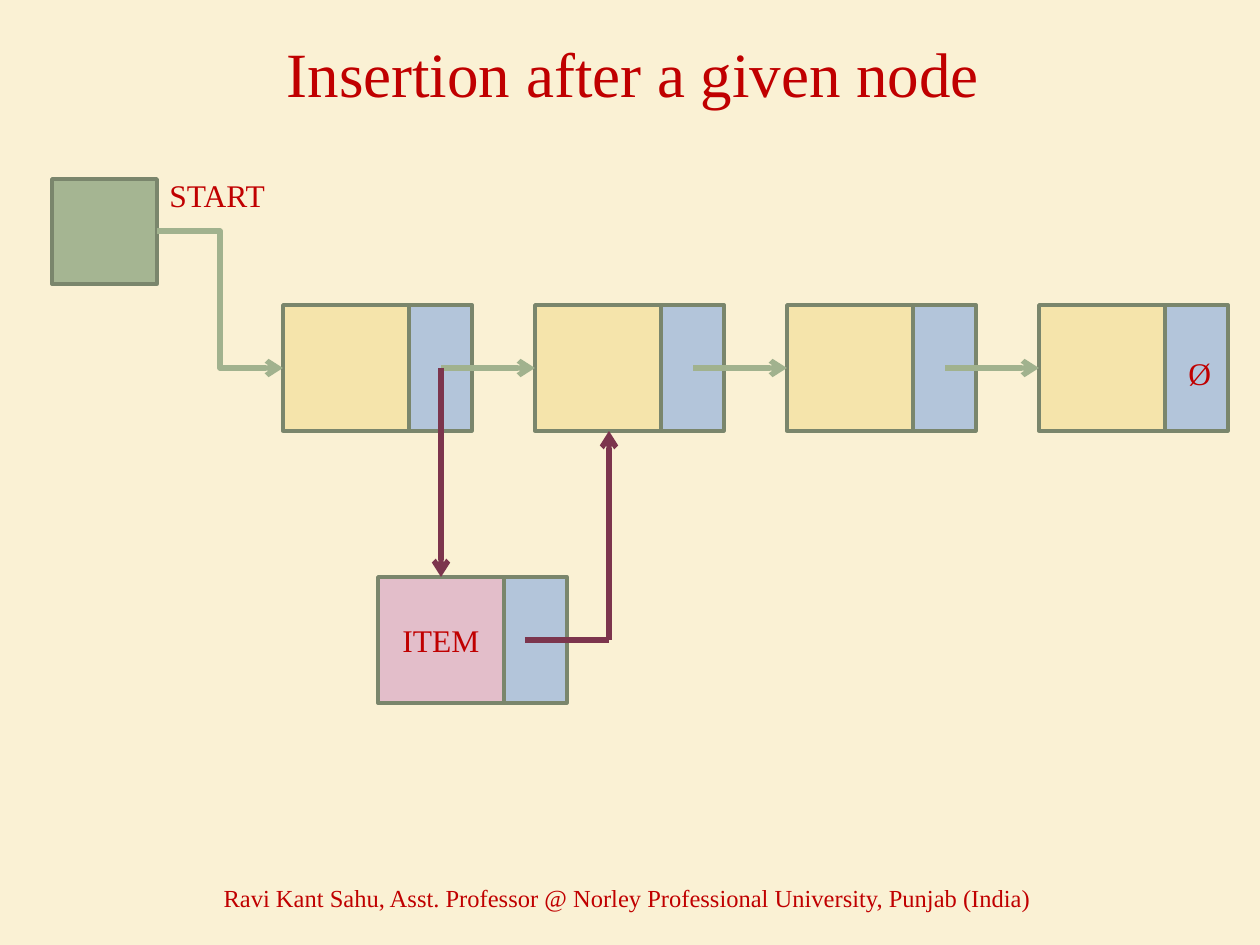
from lxml import etree
from pptx import Presentation
from pptx.dml.color import RGBColor
from pptx.enum.shapes import MSO_CONNECTOR as CONN, MSO_SHAPE as SHAPE
from pptx.enum.text import MSO_ANCHOR as ANCHOR, PP_ALIGN as ALIGN
from pptx.oxml.ns import qn
from pptx.util import Pt

SCALE = 914400 / 126  # EMU per pixel
FONT = "Times New Roman"

CREAM = RGBColor(0xFA, 0xF1, 0xD4)
RED = RGBColor(0xC0, 0x00, 0x00)
GREEN = RGBColor(0xA5, 0xB5, 0x92)
YELLOW = RGBColor(0xF5, 0xE4, 0xAB)
BLUE = RGBColor(0xB3, 0xC5, 0xDA)
PINK = RGBColor(0xE3, 0xBE, 0xCA)
BORDER = RGBColor(0x7A, 0x86, 0x6C)
LINK = RGBColor(0xA1, 0xB2, 0x8E)
NEW_LINK = RGBColor(0x7C, 0x35, 0x4D)

# Node geometry in pixels
DATA_W, NEXT_W, NODE_H = 126, 63, 126
LIST_X, LIST_Y, STEP, COUNT = 283, 305, 252, 4
ITEM_X, ITEM_Y = 378, 577


def px(*values):
    return [round(v * SCALE) for v in values]


def write(s, text, size, align, anchor):
    tf = s.text_frame
    tf.vertical_anchor = anchor
    p = tf.paragraphs[0]
    p.alignment = align
    r = p.add_run()
    r.text = text
    r.font.name = FONT
    r.font.size = Pt(size)
    r.font.color.rgb = RED


def add_label(slide, box, text, size, align=ALIGN.LEFT, anchor=ANCHOR.TOP, wrap=False):
    s = slide.shapes.add_textbox(*px(*box))
    s.text_frame.word_wrap = wrap
    write(s, text, size, align, anchor)


def add_box(slide, x, y, w, h, color, text=None):
    s = slide.shapes.add_shape(SHAPE.RECTANGLE, *px(x, y, w, h))
    s.shadow.inherit = False
    s.fill.solid()
    s.fill.fore_color.rgb = color
    s.line.color.rgb = BORDER
    s.line.width = Pt(2)
    if text:
        write(s, text, 18, ALIGN.CENTER, ANCHOR.MIDDLE)


def add_node(slide, x, y, color, text=None):
    add_box(slide, x, y, DATA_W, NODE_H, color, text)
    add_box(slide, x + DATA_W, y, NEXT_W, NODE_H, BLUE)


def add_link(slide, start, end, color, kind=CONN.STRAIGHT, arrow=True):
    s = slide.shapes.add_connector(kind, *px(*start, *end))
    s.line.color.rgb = color
    s.line.width = Pt(3)
    if arrow:
        etree.SubElement(s.line._get_or_add_ln(), qn("a:tailEnd"), type="arrow")
    etree.SubElement(s._element.spPr, qn("a:effectLst"))


def main():
    prs = Presentation()
    prs.slide_width, prs.slide_height = px(1260, 945)
    slide = prs.slides.add_slide(prs.slide_layouts[6])
    slide.background.fill.solid()
    slide.background.fill.fore_color.rgb = CREAM

    # Title and footer
    add_label(slide, (69, 0, 1128, 145), "Insertion after a given node", 36,
              ALIGN.CENTER, ANCHOR.MIDDLE, True)
    add_label(slide, (105, 873, 1045, 50),
              "Ravi Kant Sahu, Asst. Professor @ Norley Professional University, Punjab (India)",
              14, ALIGN.CENTER, ANCHOR.MIDDLE, True)

    # Start pointer and list nodes
    add_box(slide, 52, 179, 105, 105, GREEN)
    node_xs = [LIST_X + i * STEP for i in range(COUNT)]
    for x in node_xs:
        add_node(slide, x, LIST_Y, YELLOW)

    # Links of the list
    mid_y = LIST_Y + NODE_H // 2
    next_mid = DATA_W + NEXT_W // 2 + 1
    add_link(slide, (157, 231), (LIST_X, mid_y), LINK, CONN.ELBOW)
    for x in node_xs[:-1]:
        add_link(slide, (x + next_mid, mid_y), (x + STEP, mid_y), LINK)

    # Labels
    add_label(slide, (1176, 348, 48, 50), "Ø", 18)
    add_label(slide, (157, 170, 122, 50), "START", 18)

    # Inserted node and its links
    add_node(slide, ITEM_X, ITEM_Y, PINK, "ITEM")
    item_mid = ITEM_Y + NODE_H // 2
    down_x, up_x = LIST_X + next_mid, 609
    add_link(slide, (down_x, mid_y), (down_x, ITEM_Y), NEW_LINK)
    add_link(slide, (up_x, item_mid), (up_x, LIST_Y + NODE_H), NEW_LINK)
    add_link(slide, (525, item_mid), (up_x, item_mid), NEW_LINK, arrow=False)

    prs.save("out.pptx")


main()
